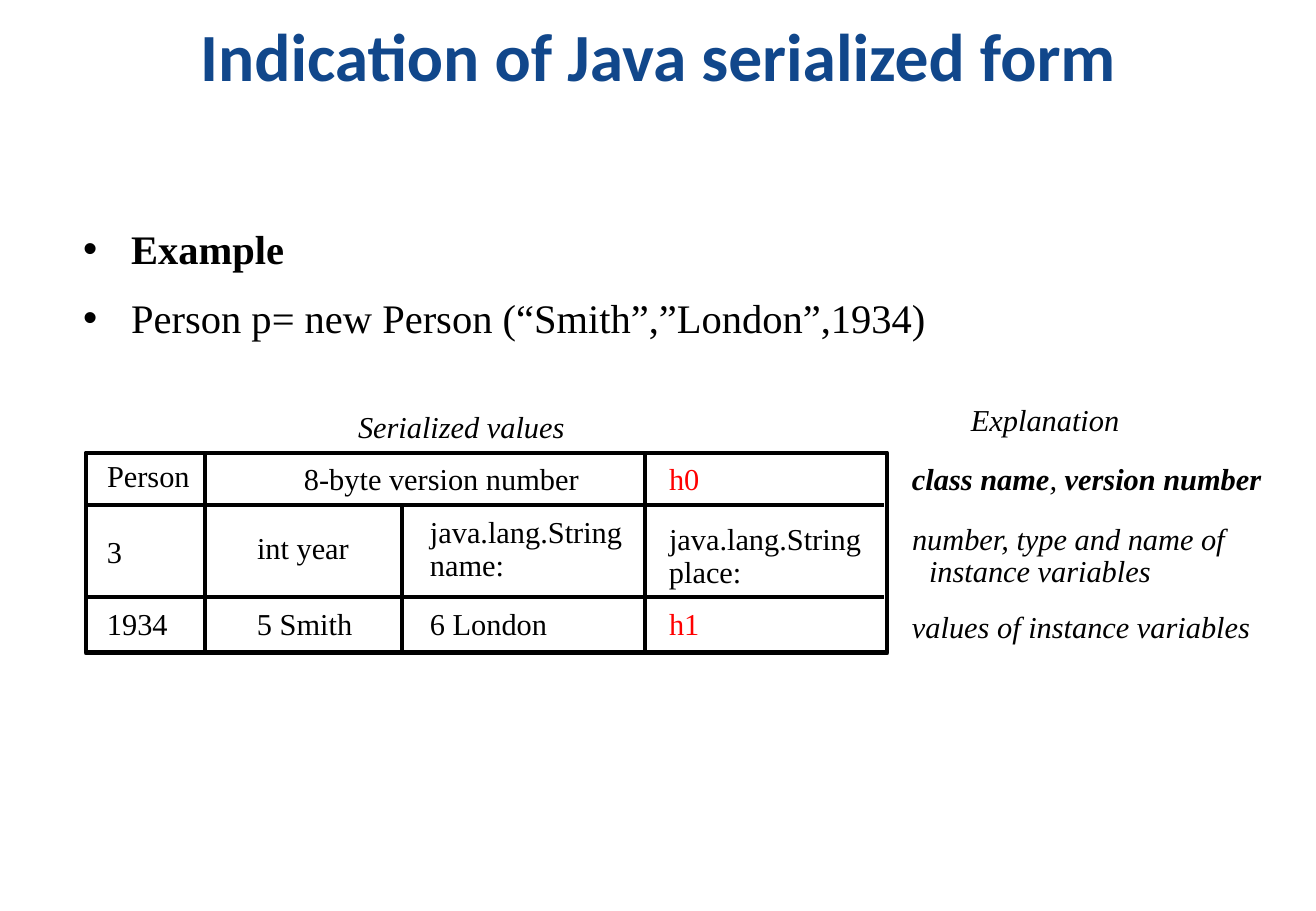
import pptx
import pptx.util
import pptx.dml.color
import pptx.enum.shapes
import pptx.enum.text
import pptx.oxml.ns
import lxml.etree

PIXEL = 914400 / 121.5
SERIF = "Times New Roman"
BLACK, RED, BLUE = "000000", "FF0000", "11478B"


def color(hex_value):
    return pptx.dml.color.RGBColor.from_string(hex_value)


def add_span(para, text, hex_value=BLACK, **formats):
    span = para.add_run()
    span.text = text
    values = {"name": SERIF, "size": pptx.util.Pt(18), "bold": False, "italic": False}
    for key, value in {**values, **formats}.items():
        setattr(span.font, key, value)
    span.font.color.rgb = color(hex_value)


deck = pptx.Presentation()
deck.slide_width, deck.slide_height = int(1316 * PIXEL), int(911 * PIXEL)
page = deck.slides.add_slide(deck.slide_layouts[1])
title, body = page.placeholders

# Title and body placement
places = [(title, (0, 0, 1316, 109)), (body, (47, 218, 1204, 135))]
for holder, place in places:
    for key, value in zip(("left", "top", "width", "height"), place):
        setattr(holder, key, int(value * PIXEL))
    holder.text_frame.auto_size = pptx.enum.text.MSO_AUTO_SIZE.NONE

# Title
title.text_frame.vertical_anchor = pptx.enum.text.MSO_ANCHOR.MIDDLE
heading = title.text_frame.paragraphs[0]
heading.alignment = pptx.enum.text.PP_ALIGN.CENTER
add_span(heading, "Indication of Java serialized form", BLUE,
         name="Calibri", size=pptx.util.Pt(40), bold=True)

# Bulleted example
bullets = [("Example", True), ("Person p= new Person (“Smith”,”London”,1934)", False)]
for index, (text, bold) in enumerate(bullets):
    para = body.text_frame.add_paragraph() if index else body.text_frame.paragraphs[0]
    para.space_before = pptx.util.Pt(12 if index else 0)
    properties = para._p.get_or_add_pPr()
    properties.set("marL", str(int(72 * PIXEL)))
    properties.set("indent", str(int(-48 * PIXEL)))
    add_span(para, text, size=pptx.util.Pt(24), bold=bold)

# Frame of the serialized values
left, top, right, bottom = 86, 453, 887, 653
frame = page.shapes.add_shape(
    pptx.enum.shapes.MSO_SHAPE.RECTANGLE,
    *[int(value * PIXEL) for value in (left, top, right - left, bottom - top)])
frame.shadow.inherit = False
frame.fill.background()

# Rules between rows and columns
rules = [(left, y, right - 3, y) for y in (505, 597)]
rules += [(x, start, x, bottom - 3) for x, start in ((205, top), (645, top), (402, 505))]
outlined = [frame]
for rule in rules:
    line = page.shapes.add_connector(
        pptx.enum.shapes.MSO_CONNECTOR.STRAIGHT, *[int(value * PIXEL) for value in rule])
    lxml.etree.SubElement(line._element.spPr, pptx.oxml.ns.qn("a:effectLst"))
    outlined.append(line)
for shape in outlined:
    shape.line.color.rgb = color(BLACK)
    shape.line.width = pptx.util.Pt(2.88)

# Labels: left, top, width, spans of (text, formats)
plain, red, italic = {}, {"hex_value": RED}, {"italic": True}
strong = {"italic": True, "bold": True}
labels = [
    (358, 408, 215, [("Serialized values", italic)]),
    (107, 457, 90, [("Person", plain)]),
    (107, 533, 22, [("3", plain)]),
    (107, 605, 68, [("1934", plain)]),
    (304, 460, 284, [("8-byte version number", plain)]),
    (257, 529, 98, [("int year", plain)]),
    (257, 605, 102, [("5 Smith", plain)]),
    (430, 513, 200, [("java.lang.String", plain)]),
    (430, 546, 81, [("name:", plain)]),
    (430, 605, 124, [("6 London", plain)]),
    (669, 460, 36, [("h0", red)]),
    (669, 520, 200, [("java.lang.String", plain)]),
    (669, 553, 79, [("place:", plain)]),
    (669, 605, 36, [("h1", red)]),
    (971, 401, 155, [("Explanation", italic)]),
    (912, 460, 358, [("class name", strong), (", ", italic), ("version number", strong)]),
    (912, 520, 343, [("number, type and name of", italic)]),
    (929, 552, 282, [("instance variables", italic)]),
    (912, 608, 347, [("values of instance variables", italic)]),
]
for x, y, width, spans in labels:
    box = page.shapes.add_textbox(*[int(value * PIXEL) for value in (x, y, width, 41)])
    for side in ("left", "top", "right", "bottom"):
        setattr(box.text_frame, f"margin_{side}", 0)
    box.text_frame.word_wrap = True
    for text, formats in spans:
        add_span(box.text_frame.paragraphs[0], text, **formats)

deck.save("out.pptx")
